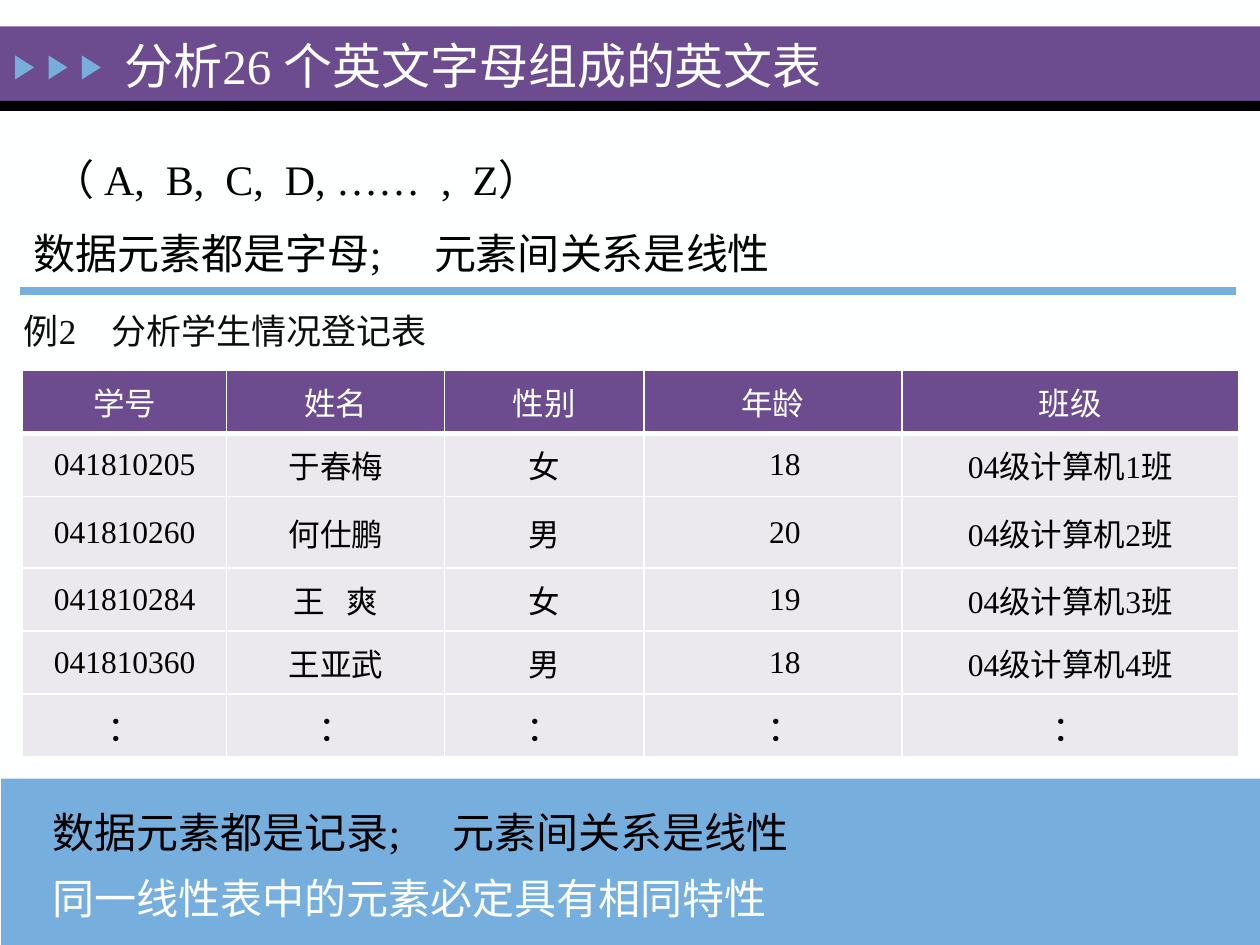
from dataclasses import dataclass
from typing import Optional

from lxml.etree import SubElement
from pptx import Presentation
from pptx.dml.color import RGBColor
from pptx.enum.shapes import MSO_CONNECTOR, MSO_SHAPE
from pptx.enum.text import MSO_ANCHOR, PP_ALIGN
from pptx.oxml.ns import qn
from pptx.util import Inches, Pt

FONT = "Times New Roman"
WHITE = RGBColor(0xFE, 0xFF, 0xFF)
BLACK = RGBColor(0x00, 0x00, 0x00)
DARK = RGBColor(0x0D, 0x0D, 0x0D)
PURPLE = RGBColor(0x6C, 0x4C, 0x8F)
BLUE = RGBColor(0x76, 0xAE, 0xDD)
PALE = RGBColor(0xEB, 0xE9, 0xEE)


@dataclass
class Box:
    left: float
    top: float
    width: float
    height: float

    def emu(self) -> tuple:
        return tuple(Inches(v) for v in (self.left, self.top, self.width, self.height))


@dataclass
class Label:
    text: str
    box: Box
    size: int
    color: RGBColor
    anchor: MSO_ANCHOR = MSO_ANCHOR.TOP
    spacing: float = 1.0
    fill: Optional[RGBColor] = None


BANDS = [
    (Box(0, 0.21, 10, 0.59), PURPLE),
    (Box(0, 0.8, 10, 0.08), BLACK),
    (Box(0.01, 6.18, 9.99, 1.32), BLUE),
]

LABELS = [
    Label("分析26 个英文字母组成的英文表", Box(0.89, 0.18, 8.43, 0.67), 28, WHITE,
          MSO_ANCHOR.MIDDLE),
    Label("（ A,  B,  C,  D, ……  ,  Z）", Box(0.32, 1.25, 5.36, 0.41), 24, BLACK,
          MSO_ANCHOR.MIDDLE, 0.8),
    Label("数据元素都是字母;     元素间关系是线性", Box(0.17, 1.75, 6.49, 0.51), 24, BLACK,
          MSO_ANCHOR.MIDDLE),
    Label("例2    分析学生情况登记表", Box(0.09, 2.41, 3.65, 0.44), 20, DARK),
    Label("数据元素都是记录;     元素间关系是线性", Box(0.32, 6.43, 8.3, 0.43), 24, BLACK,
          spacing=0.8, fill=BLUE),
    Label("同一线性表中的元素必定具有相同特性", Box(0.32, 6.95, 8.69, 0.43), 24, WHITE,
          spacing=0.8, fill=BLUE),
]

COLUMN_WIDTHS = [1.62, 1.73, 1.58, 2.05, 2.67]
ROW_HEIGHTS = [0.5, 0.5, 0.57, 0.5, 0.5, 0.5]
AGE_COLUMN = 3
STUDENTS = [
    ["学号", "姓名", "性别", "年龄", "班级"],
    ["041810205", "于春梅", "女", "18", "04级计算机1班"],
    ["041810260", "何仕鹏", "男", "20", "04级计算机2班"],
    ["041810284", "王   爽", "女", "19", "04级计算机3班"],
    ["041810360", "王亚武", "男", "18", "04级计算机4班"],
    ["："] * 5,
]


def style_text(p, size: int, color: RGBColor) -> None:
    for r in p.runs:
        r.font.name = FONT
        r.font.size = Pt(size)
        r.font.color.rgb = color


def add_filled(s, kind: MSO_SHAPE, box: Box, color: RGBColor, rotation: int = 0) -> None:
    sp = s.shapes.add_shape(kind, *box.emu())
    sp.rotation = rotation
    sp.shadow.inherit = False
    sp.fill.solid()
    sp.fill.fore_color.rgb = color
    sp.line.fill.background()


def add_label(s, label: Label) -> None:
    sp = s.shapes.add_textbox(*label.box.emu())
    if label.fill is not None:
        sp.fill.solid()
        sp.fill.fore_color.rgb = label.fill
    tf = sp.text_frame
    tf.word_wrap = True
    tf.vertical_anchor = label.anchor
    p = tf.paragraphs[0]
    p.text = label.text
    p.line_spacing = label.spacing
    style_text(p, label.size, label.color)


def add_divider(s, left: float, right: float, y: float) -> None:
    line = s.shapes.add_connector(MSO_CONNECTOR.STRAIGHT, Inches(left), Inches(y),
                                  Inches(right), Inches(y))
    line.line.color.rgb = BLUE
    line.line.width = Pt(4.5)
    SubElement(line._element.spPr, qn("a:effectLst"))


def set_borders(cell, top: float, bottom: float) -> None:
    tc_pr = cell._tc.get_or_add_tcPr()
    for side, width in (("L", 1), ("R", 1), ("T", top), ("B", bottom)):
        ln = SubElement(tc_pr, qn(f"a:ln{side}"), w=str(Pt(width)))
        fill = SubElement(ln, qn("a:solidFill"))
        SubElement(fill, qn("a:srgbClr"), val=str(WHITE))


def add_student_table(s) -> None:
    box = Box(0.18, 2.94, sum(COLUMN_WIDTHS), sum(ROW_HEIGHTS))
    table = s.shapes.add_table(len(ROW_HEIGHTS), len(COLUMN_WIDTHS), *box.emu()).table
    for column, width in zip(table.columns, COLUMN_WIDTHS):
        column.width = Inches(width)
    for row, height in zip(table.rows, ROW_HEIGHTS):
        row.height = Inches(height)
    for i, values in enumerate(STUDENTS):
        for j, value in enumerate(values):
            cell = table.cell(i, j)
            # A thick rule separates the header from the records
            set_borders(cell, 3 if i == 1 else 1, 3 if i == 0 else 1)
            cell.fill.solid()
            cell.fill.fore_color.rgb = PURPLE if i == 0 else PALE
            cell.vertical_anchor = MSO_ANCHOR.MIDDLE
            if i > 0 and j == AGE_COLUMN:
                cell.margin_left = Inches(0.29)
            p = cell.text_frame.paragraphs[0]
            p.text = value
            p.alignment = PP_ALIGN.CENTER
            style_text(p, 20 if value == "：" else 18, WHITE if i == 0 else BLACK)


def main() -> None:
    prs = Presentation()
    prs.slide_width, prs.slide_height = Inches(10), Inches(7.5)
    s = prs.slides.add_slide(prs.slide_layouts[6])
    s.background.fill.solid()
    s.background.fill.fore_color.rgb = WHITE

    # Title bar and conclusion band
    for box, color in BANDS:
        add_filled(s, MSO_SHAPE.RECTANGLE, box, color)

    # Title arrows
    for i in range(3):
        add_filled(s, MSO_SHAPE.ISOSCELES_TRIANGLE,
                   Box(0.1 + 0.265 * i, 0.46, 0.19, 0.15), BLUE, 90)

    # Text
    for label in LABELS:
        add_label(s, label)

    # Student records
    add_student_table(s)
    add_divider(s, 0.16, 9.81, 2.31)

    prs.save("out.pptx")


if __name__ == "__main__":
    main()
